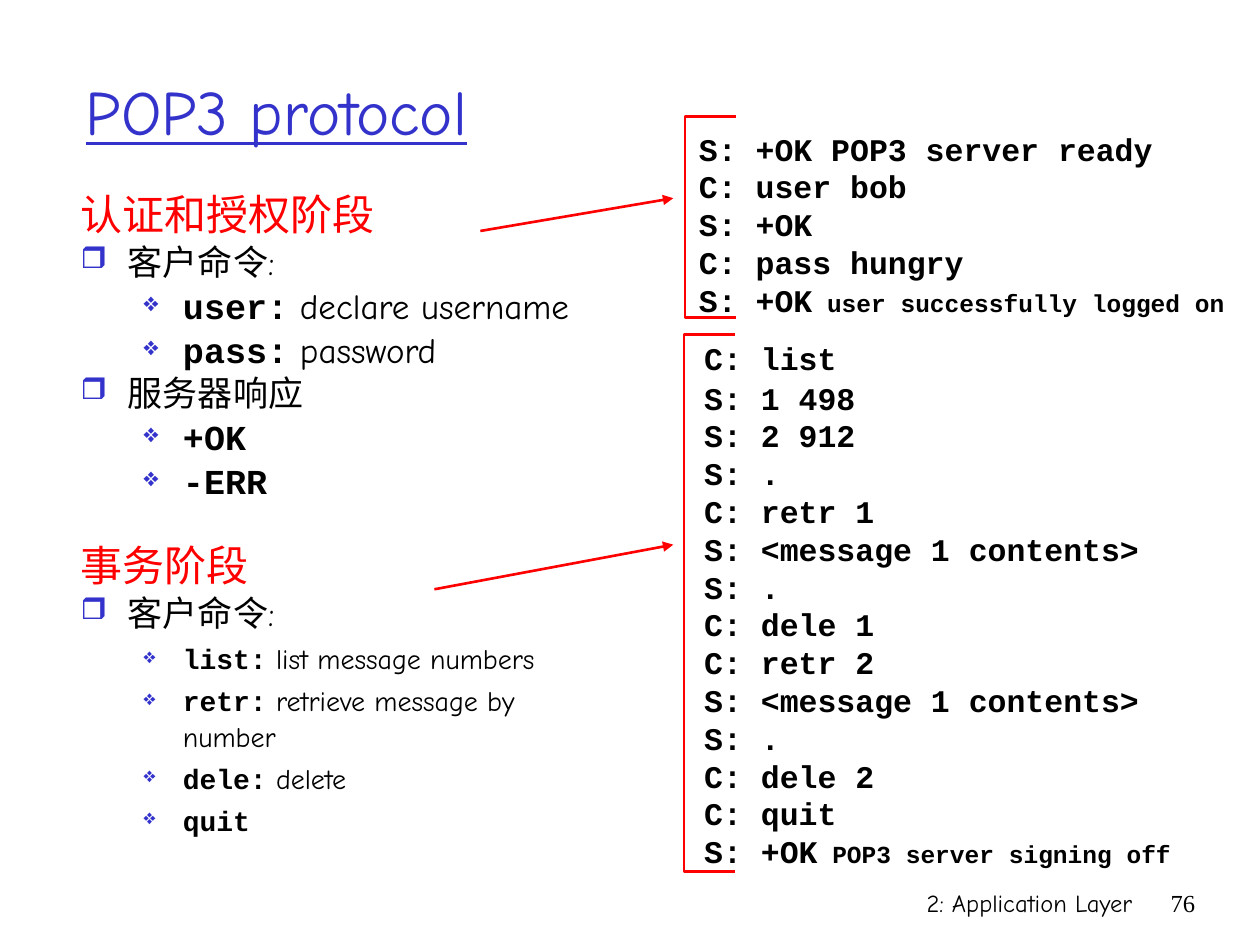
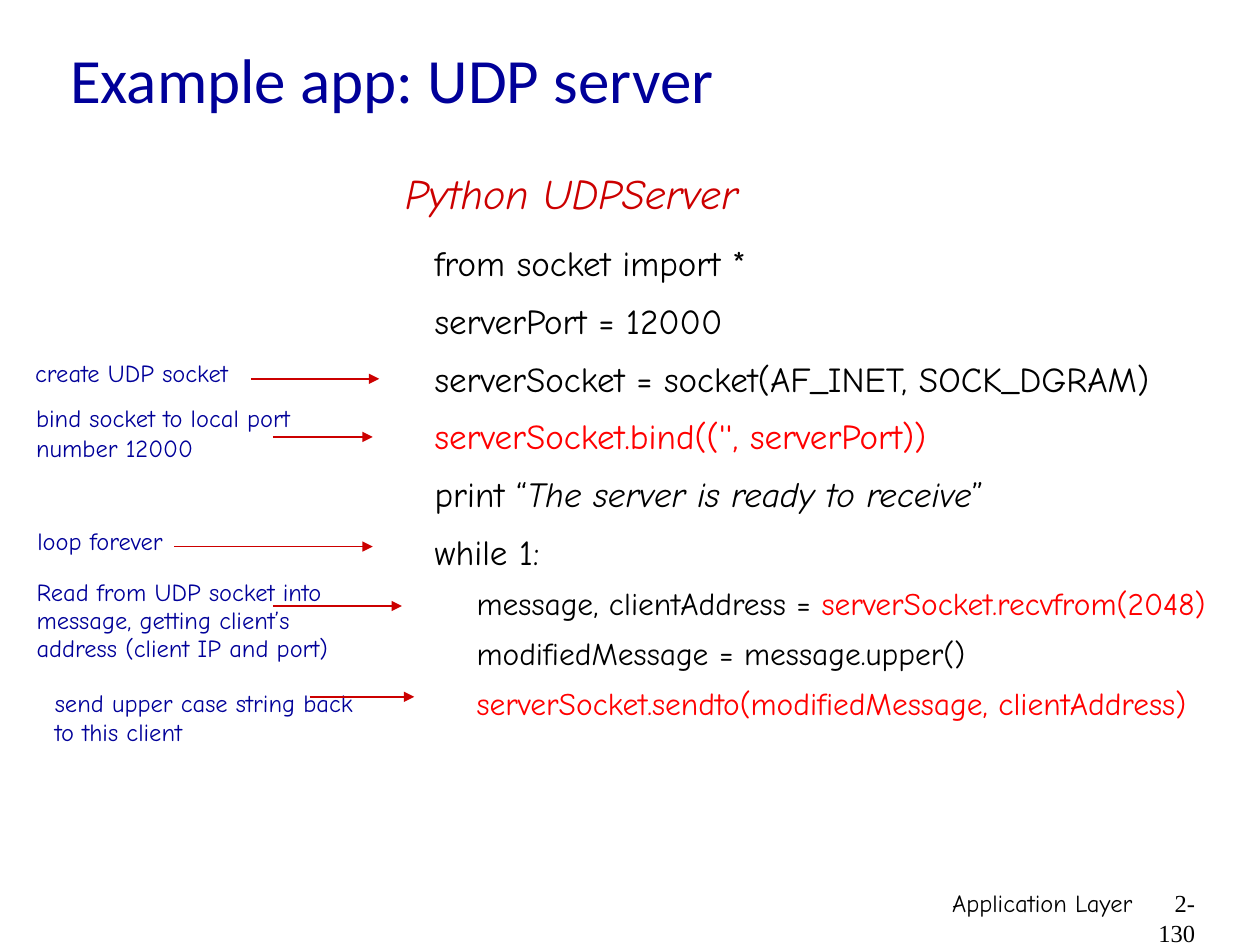
from lxml import etree
from pptx import Presentation
from pptx.dml.color import RGBColor
from pptx.enum import shapes, text
from pptx.oxml import ns
from pptx.util import Pt

BLACK = RGBColor(0, 0, 0)
RED = RGBColor(0xFF, 0, 0)
DARK_RED = RGBColor(0xCC, 0, 0)
BLUE = RGBColor(0x33, 0x33, 0xCC)
NAVY = RGBColor(0, 0, 0x99)
COMIC, MONO, SERIF, SANS = "Comic Neue", "Courier New", "Times New Roman", "Calibri"

AUTH_DIALOG = ["S: +OK POP3 server ready", "C: user bob", "S: +OK", "C: pass hungry"]
MAIL_DIALOG = ["C: list", "S: 1 498", "S: 2 912", "S: .", "C: retr 1",
               "S: <message 1 contents>", "S: .", "C: dele 1", "C: retr 2",
               "S: <message 1 contents>", "S: .", "C: dele 2", "C: quit"]


def add_box(slide, left, top, width, height, anchor=text.MSO_ANCHOR.TOP):
    sp = slide.shapes.add_textbox(Pt(left), Pt(top), Pt(width), Pt(height))
    tf = sp.text_frame
    tf.word_wrap = True
    tf.vertical_anchor = anchor
    return tf


def add_para(tf, before=0, spacing=None, align=None, margin=0, indent=0):
    p = tf.paragraphs[0]
    if p.runs:
        p = tf.add_paragraph()
    p.space_before = Pt(before)
    if spacing:
        p.line_spacing = Pt(spacing)
    if align:
        p.alignment = align
    pPr = p._p.get_or_add_pPr()
    pPr.set("marL", str(Pt(margin)))
    pPr.set("indent", str(Pt(indent)))
    return p


def add_run(p, words, size, font=COMIC, color=BLACK, bold=False, italic=False, underline=False):
    r = p.add_run()
    r.text = words
    f = r.font
    f.name, f.size, f.bold, f.italic, f.underline = font, Pt(size), bold, italic, underline
    f.color.rgb = color


def add_bullet(p, char, percent):
    pPr = p._p.get_or_add_pPr()
    clr = etree.SubElement(pPr, ns.qn("a:buClr"))
    etree.SubElement(clr, ns.qn("a:srgbClr"), val=str(BLUE))
    etree.SubElement(pPr, ns.qn("a:buSzPct"), val=str(percent * 1000))
    etree.SubElement(pPr, ns.qn("a:buChar"), char=char)


def add_title(slide, words, left, top, height, **style):
    tf = add_box(slide, left, top, 612, height, text.MSO_ANCHOR.MIDDLE)
    add_run(add_para(tf), words, 36, **style)


def add_footer(slide, label, number):
    for words, left, width, font in [(label, 426, 228.25, COMIC), (number, 654, 36, SERIF)]:
        p = add_para(add_box(slide, left, 504, width, 36), align=text.PP_ALIGN.RIGHT)
        add_run(p, words, 14, font)


def add_arrow(slide, x1, y1, x2, y2, color, width):
    cx = slide.shapes.add_connector(shapes.MSO_CONNECTOR.STRAIGHT, Pt(x1), Pt(y1), Pt(x2), Pt(y2))
    cx.line.color.rgb = color
    cx.line.width = Pt(width)
    etree.SubElement(cx.line._get_or_add_ln(), ns.qn("a:tailEnd"), type="triangle")
    etree.SubElement(cx._element.spPr, ns.qn("a:effectLst"))


def add_bracket(slide, left, top, bottom):
    right = left + 29
    fb = slide.shapes.build_freeform(Pt(right), Pt(top))
    fb.add_line_segments([(Pt(left), Pt(top)), (Pt(left), Pt(bottom)), (Pt(right), Pt(bottom))],
                         close=False)
    sp = fb.convert_to_shape()
    sp.shadow.inherit = False
    sp.fill.background()
    sp.line.color.rgb = RED
    sp.line.width = Pt(1.5)


def add_phase(tf, words, before):
    add_run(add_para(tf, before, 20, margin=27, indent=-27), words, 24, color=RED)


def add_topic(tf, words):
    p = add_para(tf, 5, 20, margin=27, indent=-27)
    add_bullet(p, "❒", 85)
    add_run(p, words, 20)


def add_command(tf, command, meaning, size):
    p = add_para(tf, size / 4, 20, margin=58.5, indent=-22.5)
    add_bullet(p, "❖", 75)
    add_run(p, command, size, MONO, bold=True)
    if meaning:
        add_run(p, " " + meaning, size)


def add_dialog(slide, left, top, width, lines, status, remark):
    tf = add_box(slide, left, top, width, 21.6 * (len(lines) + 1) + 7.2)
    for line in lines + [status]:
        add_run(add_para(tf, spacing=21.6), line, 18, MONO, bold=True)
    add_run(tf.paragraphs[-1], " " + remark, 14, MONO, bold=True)
    return tf


def add_note(slide, words, box, arrow, spacing=None):
    add_run(add_para(add_box(slide, *box), 3.5, spacing), words, 14, color=NAVY)
    x1, x2, y = arrow
    add_arrow(slide, x1, y, x2, y, DARK_RED, 1)


def build_pop3(slide):
    add_footer(slide, "2: Application Layer", "76")
    add_title(slide, "POP3 protocol", 42, 18, 90, color=BLUE, underline=True)
    tf = add_box(slide, 39, 113, 312.5, 366)
    add_phase(tf, "认证和授权阶段", 6)
    add_topic(tf, "客户命令:")
    add_command(tf, "user:", "declare username", 20)
    add_command(tf, "pass:", "password", 20)
    add_topic(tf, "服务器响应")
    add_command(tf, "+OK", "", 20)
    add_command(tf, "-ERR", "", 20)
    add_phase(tf, "事务阶段", 30.5)
    add_topic(tf, "客户命令:")
    for command, meaning in [("list:", "list message numbers"),
                             ("retr:", "retrieve message by number"),
                             ("dele:", "delete"), ("quit", "")]:
        add_command(tf, command, meaning, 16)

    mail = add_dialog(slide, 395.3, 190, 290, MAIL_DIALOG, "S: +OK", "POP3 server signing off")
    mail.paragraphs[0].space_after = Pt(1.2)
    add_dialog(slide, 392.3, 70.5, 322, AUTH_DIALOG, "S: +OK", "user successfully logged on")
    add_bracket(slide, 391.5, 66.75, 181.5)
    add_arrow(slide, 274.5, 132, 384.75, 113.25, RED, 1.5)
    add_bracket(slide, 390.75, 191.25, 498)
    add_arrow(slide, 248.25, 336.75, 384.75, 311.25, RED, 1.5)


def build_udp_server(slide):
    add_footer(slide, "Application Layer", "2-130")
    add_title(slide, "Example app: UDP server", 33, 7, 75, font=SANS, color=NAVY)
    tf = add_box(slide, 241.25, 130.5, 475, 286)
    for line, color in [("from socket import *", BLACK), ("serverPort = 12000", BLACK),
                        ("serverSocket = socket(AF_INET, SOCK_DGRAM)", BLACK),
                        ("serverSocket.bind(('', serverPort))", RED)]:
        add_run(add_para(tf, 5, 28), line, 20, color=color)
    p = add_para(tf, 5, 28)
    add_run(p, "print “", 20)
    add_run(p, "The server is ready to receive", 20, italic=True)
    add_run(p, "”", 20)
    add_run(add_para(tf, 5, 28), "while 1:", 20)
    for plain, call in [("message, clientAddress = ", "serverSocket.recvfrom(2048)"),
                        ("modifiedMessage = message.upper()", ""),
                        ("", "serverSocket.sendto(modifiedMessage, clientAddress)")]:
        p = add_para(tf, 4.5, 24, margin=24)
        for words, color in [(plain, BLACK), (call, RED)]:
            if words:
                add_run(p, words, 18, color=color)

    heading = add_para(add_box(slide, 224.5, 92.25, 210, 36), 6)
    add_run(heading, "Python UDPServer", 24, color=DARK_RED, italic=True)

    add_note(slide, "create UDP socket", (13, 201, 201.5, 24.5), (143.3, 216.7, 216.5))
    add_note(slide, "bind socket to local port number 12000",
             (13.5, 227, 178.5, 41), (156, 213, 249.7))
    add_note(slide, "loop forever", (14.3, 298, 94.5, 23), (99.5, 213, 312.3), 16)
    add_note(slide, "Read from UDP socket into message, getting client’s "
             "address (client IP and port)", (13.8, 327, 185, 55.5), (156, 229.7, 346.3), 16)
    add_note(slide, "send upper case string back to this client",
             (24.3, 389.5, 185, 41), (177, 236.7, 398.2))


def main():
    prs = Presentation()
    prs.slide_width, prs.slide_height = Pt(720), Pt(540)
    for build in (build_pop3, build_udp_server):
        build(prs.slides.add_slide(prs.slide_layouts[6]))
    prs.save("out.pptx")


if __name__ == "__main__":
    main()
